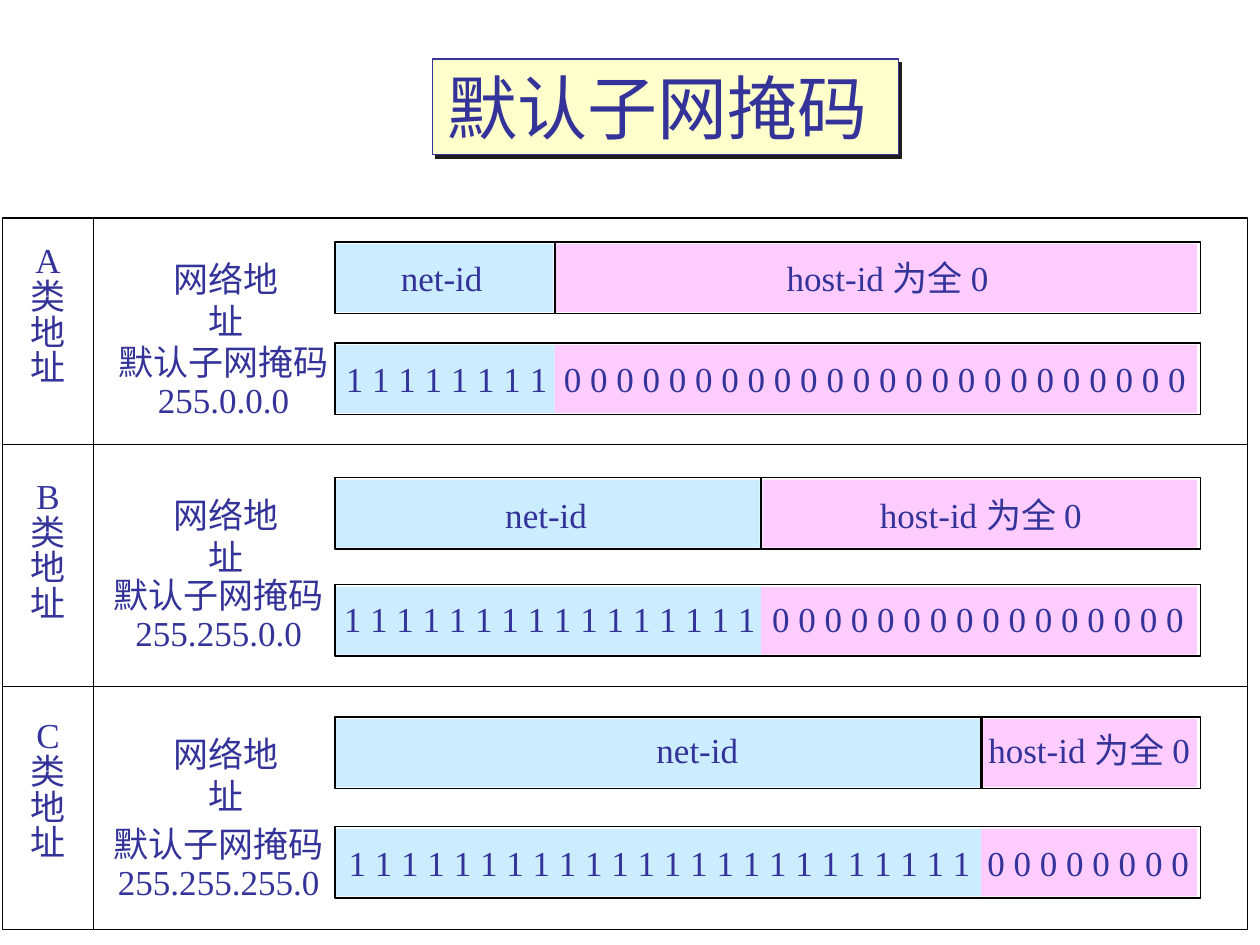
from dataclasses import dataclass

from lxml import etree
from pptx import Presentation
from pptx import util as u
from pptx.dml.color import RGBColor
from pptx.enum import shapes, text
from pptx.oxml import ns

COLORS = {
    "ink": "333399",
    "black": "000000",
    "net": "CCECFF",
    "host": "FFCCFF",
    "title": "FFFFCC",
    "shadow": "1C1C1C",
}
BAR_LEFT, BAR_WIDTH, BAR_HEIGHT = 191.5, 494.5, 41
FILL_RIGHT, FILL_HEIGHT = 684, 38.8
TABLE_LEFT, TABLE_TOP, TABLE_WIDTH, TABLE_HEIGHT = 1.4, 124.6, 711.4, 406.6
CLASS_COLUMN = 53.3


@dataclass
class AddressClass:
    letter: str
    net_bits: int
    mask: str
    network_top: float
    mask_top: float
    split: float
    divider_width: float
    net_center: float
    host_center: float
    label_drop: float
    bits_drop: float
    mask_label_top: float
    mask_label_center: float


CLASSES = [
    AddressClass("A", 8, "255.0.0.0", 138.2, 195.9, 317, 1,
                 252.4, 507.2, 5, 5, 193.7, 127.8),
    AddressClass("B", 16, "255.255.0.0", 272.9, 334.1, 434.9, 1,
                 312.1, 560.5, 5.6, 3.6, 326.9, 125),
    AddressClass("C", 24, "255.255.255.0", 409.7, 472.3, 560.7, 1.5,
                 398.5, 622.4, 3, 5, 469.4, 125),
]


def color(name):
    return RGBColor.from_string(COLORS[name])


def add_rect(page, left, top, width, height, fill=None, line=None, weight=1):
    box = page.shapes.add_shape(shapes.MSO_SHAPE.RECTANGLE,
                                u.Pt(left), u.Pt(top), u.Pt(width), u.Pt(height))
    box.shadow.inherit = False
    if fill:
        box.fill.solid()
        box.fill.fore_color.rgb = color(fill)
    else:
        box.fill.background()
    if line:
        box.line.color.rgb = color(line)
        box.line.width = u.Pt(weight)
    else:
        box.line.fill.background()
    return box


def add_line(page, x1, y1, x2, y2, weight=0.75):
    line = page.shapes.add_connector(shapes.MSO_CONNECTOR.STRAIGHT,
                                     u.Pt(x1), u.Pt(y1), u.Pt(x2), u.Pt(y2))
    line.line.color.rgb = color("black")
    line.line.width = u.Pt(weight)
    etree.SubElement(line._element.spPr, ns.qn("a:effectLst"))


def style_text(frame, size, font, spacing=None):
    for para in frame.paragraphs:
        para.alignment = text.PP_ALIGN.CENTER
        if spacing:
            para.line_spacing = spacing
        for span in para.runs:
            span.font.size = u.Pt(size)
            span.font.name = font
            span.font.color.rgb = color("ink")


def add_label(page, content, center, top, width, height=31, spacing=None):
    box = page.shapes.add_textbox(u.Pt(center - width / 2), u.Pt(top),
                                  u.Pt(width), u.Pt(height))
    frame = box.text_frame
    frame.word_wrap = False
    frame.auto_size = text.MSO_AUTO_SIZE.SHAPE_TO_FIT_TEXT
    frame.text = content
    style_text(frame, 20, "Times New Roman", spacing)


def add_bar(page, top, split, gap=0):
    fill_left, fill_top = BAR_LEFT + 0.5, top + 1.2
    add_rect(page, fill_left, fill_top, split - gap - fill_left, FILL_HEIGHT, "net")
    add_rect(page, split + gap, fill_top, FILL_RIGHT - split - gap, FILL_HEIGHT, "host")
    add_rect(page, BAR_LEFT, top, BAR_WIDTH, BAR_HEIGHT, line="black")


def add_bits(page, digit, count, left, right, top):
    add_label(page, " ".join(digit * count), (left + right) / 2, top, 15 * count + 10)


def add_network_row(page, item):
    top = item.network_top
    add_bar(page, top, item.split, 0.8)
    add_line(page, item.split, top + 0.5, item.split, top + 40.5, item.divider_width)
    add_label(page, "net-id", item.net_center, top + item.label_drop, 61)
    add_label(page, "host-id 为全 0", item.host_center, top + item.label_drop, 139)
    add_label(page, "网络地址", 129.3, top + 5.3, 94)


def add_mask_row(page, item):
    bits_top = item.mask_top + item.bits_drop
    add_bar(page, item.mask_top, item.split)
    add_bits(page, "1", item.net_bits, BAR_LEFT + 2, item.split, bits_top)
    add_bits(page, "0", 32 - item.net_bits, item.split, FILL_RIGHT - 1, bits_top)
    add_label(page, f"默认子网掩码\n{item.mask}", item.mask_label_center,
              item.mask_label_top, 134.6, 50.4, 0.9)


def add_class(page, item):
    add_label(page, "\n".join(item.letter + "类地址"), 27.4,
              item.network_top - 1.7, 34.6, 89.3, 0.85)
    add_network_row(page, item)
    add_mask_row(page, item)


def add_grid(page):
    add_rect(page, TABLE_LEFT, TABLE_TOP, TABLE_WIDTH, TABLE_HEIGHT,
             line="black", weight=0.75)
    for y in (254.2, 392.4):
        add_line(page, TABLE_LEFT, y, TABLE_LEFT + TABLE_WIDTH, y)
    add_line(page, CLASS_COLUMN, TABLE_TOP, CLASS_COLUMN, TABLE_TOP + TABLE_HEIGHT)


def add_title(page):
    box = add_rect(page, 247, 33.8, 266.4, 54.7, "title", "ink", 0.75)
    effects = box._element.spPr.find(ns.qn("a:effectLst"))
    shadow = etree.SubElement(effects, ns.qn("a:outerShdw"), dist=str(u.Pt(2.8)),
                              dir="2700000", algn="ctr", rotWithShape="0")
    etree.SubElement(shadow, ns.qn("a:srgbClr"), val=COLORS["shadow"])
    frame = box.text_frame
    frame.word_wrap = True
    frame.vertical_anchor = text.MSO_ANCHOR.BOTTOM
    frame.text = "默认子网掩码 "
    style_text(frame, 40, "Arial")


def main():
    deck = Presentation()
    deck.slide_width, deck.slide_height = u.Pt(720), u.Pt(540)
    page = deck.slides.add_slide(deck.slide_layouts[6])
    add_grid(page)
    for item in CLASSES:
        add_class(page, item)
    add_title(page)
    deck.save("out.pptx")


if __name__ == "__main__":
    main()
